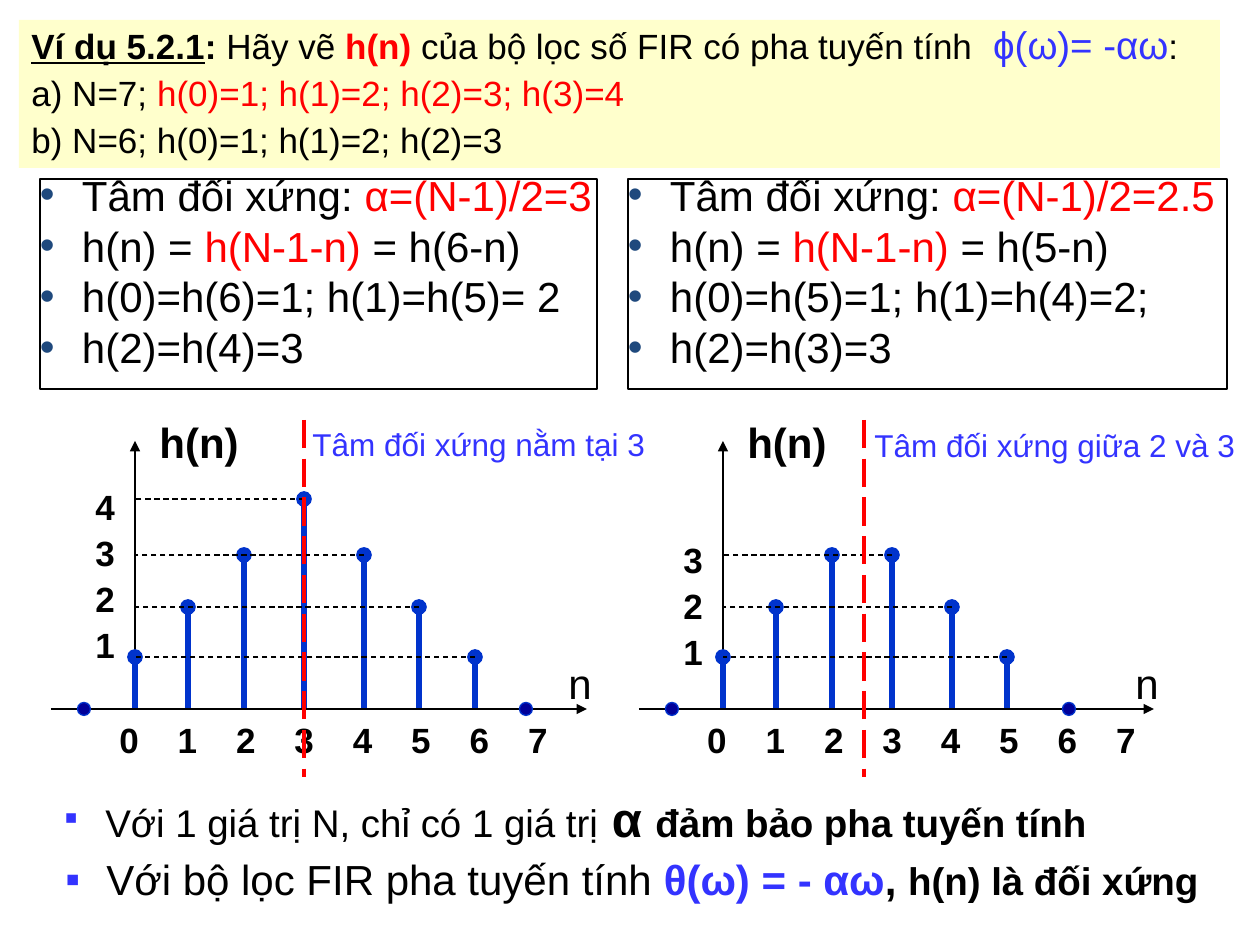
from lxml import etree
from pptx import Presentation
from pptx.dml.color import RGBColor
from pptx.enum.dml import MSO_LINE
from pptx.enum.shapes import MSO_CONNECTOR, MSO_SHAPE
from pptx.enum.text import MSO_ANCHOR, PP_ALIGN
from pptx.oxml.ns import qn
from pptx.util import Emu, Pt

PX = 914400 // 126
BLACK, RED, BLUE, NAVY = "000000", "FF0000", "3333FF", "1F497D"
STEM, ZERO_DOT, CREAM = "0033CC", "000099", "FFFFCC"

# A run is its text followed by what differs from the paragraph's font.
QUESTION = [
    [("Ví dụ 5.2.1", dict(bold=True, underline=True)), (": ", dict(bold=True)),
     ("Hãy vẽ ", {}), ("h(n)", dict(bold=True, color=RED)),
     (" của bộ lọc số FIR có pha tuyến tính ", {}),
     (" ϕ(ω)= -αω", dict(size=22, color=BLUE)), (":", {})],
    [("a) N=7; ", {}), ("h(0)=1; h(1)=2; h(2)=3; h(3)=4", dict(color=RED))],
    [("b) N=6; h(0)=1; h(1)=2; h(2)=3", {})],
]
SOLUTIONS = [  # box, alpha, mirrored argument, equal values
    ((40, 179, 557, 210), "α=(N-1)/2=3", "6-n",
     ["h(0)=h(6)=1; h(1)=h(5)= 2", "h(2)=h(4)=3"]),
    ((628, 179, 599, 210), "α=(N-1)/2=2.5", "5-n",
     ["h(0)=h(5)=1; h(1)=h(4)=2;", "h(2)=h(3)=3"]),
]
PLOTS = [
    dict(origin=135, values=[1, 2, 3, 4, 3, 2, 1], axis_end=587, last_zero=526,
         center=304, levels_top=475, caption="Tâm đối xứng nằm tại 3",
         caption_at=(300, 419)),
    dict(origin=723, values=[1, 2, 3, 3, 2, 1], axis_end=1154, last_zero=1069,
         center=864, levels_top=528, caption="Tâm đối xứng giữa 2 và 3",
         caption_at=(862, 420)),
]
CONCLUSIONS = [
    ((52, 774, 1071, 87),
     [("Với 1 giá trị N, chỉ có 1 giá trị", dict(size=22)), (" ", dict(size=28)),
      ("α ", dict(size=28, bold=True)),
      ("đảm bảo pha tuyến tính", dict(size=22, bold=True))]),
    ((53, 816, 1200, 126),
     [("Với bộ lọc FIR pha tuyến tính ", {}),
      ("θ(ω) = - αω", dict(bold=True, color=BLUE)), (", ", dict(bold=True)),
      ("h(n) là đối xứng", dict(size=22, bold=True))]),
]
SAMPLE_OFFSETS = [0, 53, 109, 169, 229, 284, 340]
LEVEL_Y = {1: 657, 2: 607, 3: 555, 4: 499}
AXIS_Y, DOT = 709, 13
TICKS, TICK_STEP, TICK_WIDTH = 8, 58.4, 56


def px(*lengths):
    return [Emu(round(length * PX)) for length in lengths]


def rgb(color):
    return RGBColor.from_string(color)


def style(font, size=None, bold=None, underline=None, color=None):
    if size:
        font.size = Pt(size)
    if bold is not None:
        font.bold = bold
    if underline:
        font.underline = True
    if color:
        font.color.rgb = rgb(color)


def add_bullet(paragraph, char, color, indent):
    properties = paragraph._p.get_or_add_pPr()
    properties.set("marL", str(indent * PX))
    properties.set("indent", str(-indent * PX))
    bullet_color = etree.SubElement(properties, qn("a:buClr"))
    etree.SubElement(bullet_color, qn("a:srgbClr"), val=color)
    etree.SubElement(properties, qn("a:buFont"), typeface="Arial")
    etree.SubElement(properties, qn("a:buChar"), char=char)


def write(frame, paragraphs, size, bold=False, color=BLACK, align=PP_ALIGN.LEFT,
          spacing=None, before=0, bullet=None):
    frame.word_wrap = True
    for i, runs in enumerate(paragraphs):
        paragraph = frame.paragraphs[0] if i == 0 else frame.add_paragraph()
        if bullet:
            add_bullet(paragraph, *bullet)
        paragraph.font.name = "Arial"
        style(paragraph.font, size, bold, color=color)
        paragraph.alignment = align
        if spacing:
            paragraph.line_spacing = spacing
        paragraph.space_before = Pt(before if i else 0)
        for text, changes in runs:
            run = paragraph.add_run()
            run.text = text
            style(run.font, **changes)


def add_text(shapes, box, paragraphs, size, anchor=MSO_ANCHOR.TOP, **options):
    frame = shapes.add_textbox(*px(*box)).text_frame
    frame.vertical_anchor = anchor
    write(frame, paragraphs, size, **options)


def add_panel(shapes, kind, box, fill=None, line=None):
    panel = shapes.add_shape(kind, *px(*box))
    panel.shadow.inherit = False
    if fill:
        panel.fill.solid()
        panel.fill.fore_color.rgb = rgb(fill)
    else:
        panel.fill.background()
    if line:
        panel.line.color.rgb = rgb(line)
        panel.line.width = Pt(0.75)
    else:
        panel.line.fill.background()
    panel.text_frame.vertical_anchor = MSO_ANCHOR.TOP
    return panel


def add_line(shapes, start, end, color=BLACK, width=0.75, dash=None, tail=None):
    line = shapes.add_connector(MSO_CONNECTOR.STRAIGHT, *px(*start, *end))
    line.line.color.rgb = rgb(color)
    line.line.width = Pt(width)
    if dash:
        line.line.dash_style = dash
    if tail:
        etree.SubElement(line.line._get_or_add_ln(), qn("a:tailEnd"), type=tail)
    etree.SubElement(line._element.spPr, qn("a:effectLst"))


def add_plot(shapes, origin, values, axis_end, last_zero, center, levels_top):
    peak = max(values)
    levels = [[(str(level), {})] for level in range(peak, 0, -1)]
    for n in range(TICKS):
        left = origin - 6 + n * TICK_STEP - TICK_WIDTH / 2
        add_text(shapes, (left, 712, TICK_WIDTH, 55), [[(str(n), {})]], 20,
                 bold=True, align=PP_ALIGN.CENTER)
    add_text(shapes, (origin - 52, levels_top, 53, 50 * peak), levels, 20,
             bold=True, spacing=1.1)
    add_text(shapes, (axis_end - 31, 651, 73, 63), [[("n", {})]], 24)
    add_text(shapes, (origin + 12, 410, 146, 63), [[("h(n)", {})]], 24, bold=True)
    add_line(shapes, (origin, AXIS_Y), (origin, 441), tail="triangle")
    add_line(shapes, (origin - 84, AXIS_Y), (axis_end, AXIS_Y), tail="triangle")
    for x in (origin - 51, last_zero):
        add_panel(shapes, MSO_SHAPE.OVAL, (x - DOT / 2, AXIS_Y - DOT / 2, DOT, DOT),
                  ZERO_DOT, STEM)
    samples = [(origin + offset, value)
               for offset, value in zip(SAMPLE_OFFSETS, values)]
    for x, value in samples:
        add_line(shapes, (x, AXIS_Y - 1), (x, LEVEL_Y[value]), STEM, 3, tail="oval")
    for level, x in {value: x for x, value in samples}.items():
        y = LEVEL_Y[level]
        add_line(shapes, (x, y), (origin, y), dash=MSO_LINE.DASH)
    add_line(shapes, (center, 420), (center, 777), RED, 2, MSO_LINE.LONG_DASH)


def main():
    deck = Presentation()
    deck.slide_width, deck.slide_height = px(1260, 945)
    shapes = deck.slides.add_slide(deck.slide_layouts[6]).shapes

    question = add_panel(shapes, MSO_SHAPE.RECTANGLE, (19, 20, 1201, 148), CREAM)
    write(question.text_frame, QUESTION, 20, align=PP_ALIGN.JUSTIFY,
          spacing=0.9, before=5)

    for box, alpha, mirrored, equalities in SOLUTIONS:
        frame = add_panel(shapes, MSO_SHAPE.RECTANGLE, box, line=BLACK).text_frame
        frame.margin_left = frame.margin_right = 0
        frame.margin_top = frame.margin_bottom = 0
        steps = [[("Tâm đối xứng: ", {}), (alpha, dict(color=RED))],
                 [("h(n) = ", {}), ("h(N-1-n)", dict(color=RED)),
                  (f" = h({mirrored})", {})]]
        steps += [[(equality, {})] for equality in equalities]
        write(frame, steps, 24, align=PP_ALIGN.JUSTIFY, spacing=0.8, before=6,
              bullet=("•", NAVY, 42))

    for plot in PLOTS:
        geometry = dict(plot)
        caption, caption_at = geometry.pop("caption"), geometry.pop("caption_at")
        add_plot(shapes.add_group_shape().shapes, **geometry)
        add_text(shapes, (*caption_at, 398, 50), [[(caption, {})]], 18, color=BLUE)

    for box, runs in CONCLUSIONS:
        add_text(shapes, box, [runs], 24, anchor=MSO_ANCHOR.MIDDLE,
                 bullet=("▪", BLUE, 41))

    deck.save("out.pptx")


if __name__ == "__main__":
    main()
